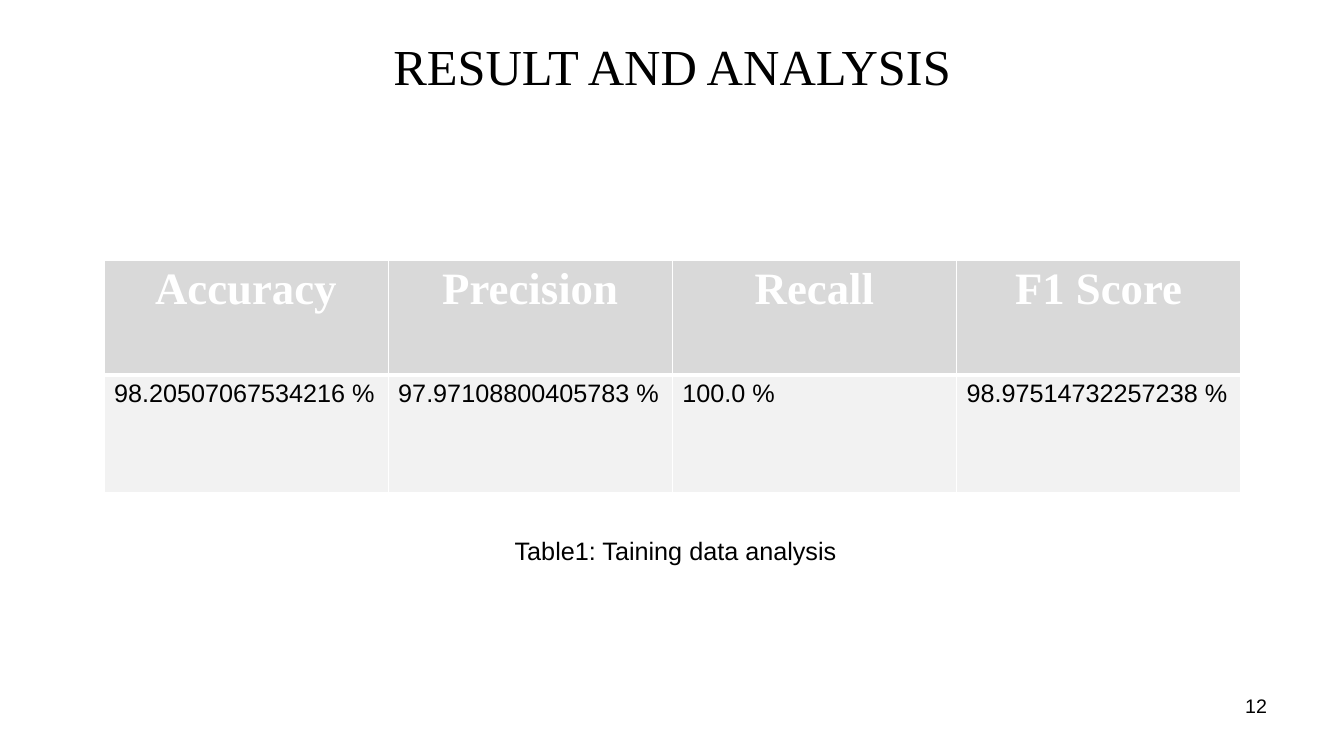
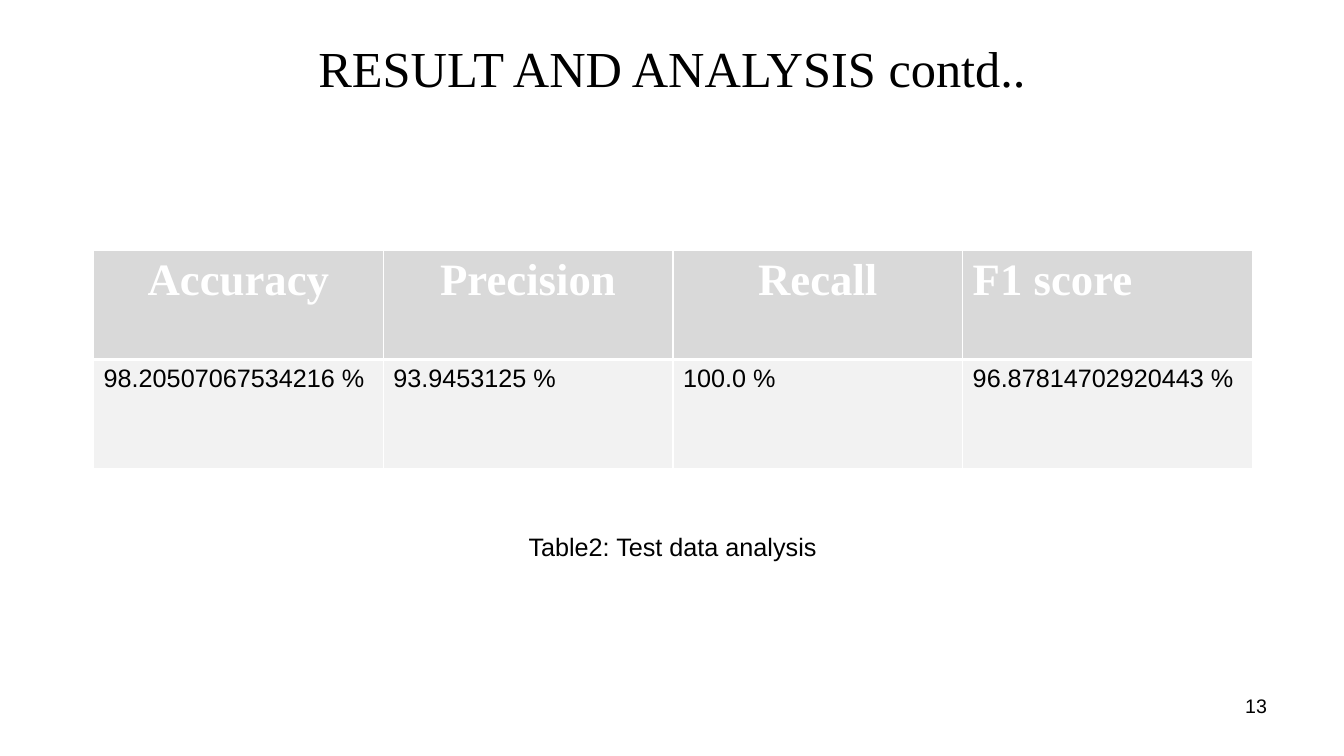
import pptx
import pptx.util
import pptx.dml.color
import pptx.enum.text
import pptx.oxml.ns
import lxml.etree

Cm = pptx.util.Cm
ALIGN = pptx.enum.text.PP_ALIGN
ANCHOR = pptx.enum.text.MSO_ANCHOR
SERIF, SANS = "Times New Roman", "Arial"
BLACK, WHITE, HEAD, BODY = "000000", "FFFFFF", "D9D9D9", "F2F2F2"

PAGES = [
    {
        "title": "RESULT AND ANALYSIS",
        "title_box": (1.7, 0.53, 30.48, 2.24),
        "rows": [
            ["Accuracy", "Precision", "Recall", "F1 Score"],
            ["98.20507067534216 %", "97.97108800405783 %", "100.0 %", "98.97514732257238 %"],
        ],
        "grid_box": (2.62, 6.55, 28.65),
        "heights": (2.9, 2.97),
        "last": ALIGN.CENTER,
        "note": "Table1: Taining data analysis",
        "note_box": (6.32, 13.36, 21.41, 1.02),
        "number": "12",
    },
    {
        "title": "RESULT AND ANALYSIS contd..",
        "title_box": (1.7, 0.61, 30.48, 2.18),
        "rows": [
            ["Accuracy", "Precision", "Recall", "F1 score"],
            ["98.20507067534216 %", "93.9453125 %", "100.0 %", "96.87814702920443 %"],
        ],
        "grid_box": (2.36, 6.32, 29.2),
        "heights": (2.74, 2.74),
        "last": ALIGN.LEFT,
        "note": "Table2: Test data analysis",
        "note_box": (7.49, 13.26, 18.92, 1.02),
        "number": "13",
    },
]
NUMBER_BOX = (24.28, 17.35, 7.9, 1.32)


def paint(text):
    return pptx.dml.color.RGBColor.from_string(text)


def write(frame, text, size, face=SANS, color=BLACK, align=ALIGN.LEFT, bold=False):
    frame.text = text
    para = frame.paragraphs[0]
    para.alignment = align
    font = para.runs[0].font
    font.size = pptx.util.Pt(size)
    font.name = face
    font.bold = bold
    font.color.rgb = paint(color)


def add_title(slide, box, text):
    title = slide.shapes.title
    title.left, title.top, title.width, title.height = map(Cm, box)
    title.text_frame.vertical_anchor = ANCHOR.MIDDLE
    write(title.text_frame, text, 36, SERIF, align=ALIGN.CENTER)


def add_label(slide, box, text, size, align):
    label = slide.shapes.add_textbox(*map(Cm, box))
    label.text_frame.word_wrap = True
    write(label.text_frame, text, size, align=align)


def edge(cell, base):
    props = cell._tc.get_or_add_tcPr()
    for side, width in (("L", 1), ("R", 1), ("T", 1), ("B", base)):
        line = lxml.etree.SubElement(props, pptx.oxml.ns.qn("a:ln" + side), w=str(pptx.util.Pt(width)))
        fill = lxml.etree.SubElement(line, pptx.oxml.ns.qn("a:solidFill"))
        lxml.etree.SubElement(fill, pptx.oxml.ns.qn("a:srgbClr"), val=WHITE)


def add_grid(slide, box, heights, rows, last):
    left, top, width = box
    count = len(rows[0])
    grid = slide.shapes.add_table(
        len(rows), count, Cm(left), Cm(top), Cm(width), Cm(sum(heights))
    ).table
    for col in grid.columns:
        col.width = Cm(width / count)
    for r, (height, texts) in enumerate(zip(heights, rows)):
        grid.rows[r].height = Cm(height)
        for c, text in enumerate(texts):
            cell = grid.cell(r, c)
            edge(cell, 1 if r else 3)
            cell.fill.solid()
            cell.fill.fore_color.rgb = paint(BODY if r else HEAD)
            if r:
                write(cell.text_frame, text, 18)
            else:
                align = last if c == count - 1 else ALIGN.CENTER
                write(cell.text_frame, text, 32, SERIF, WHITE, align, True)


def add_page(deck, page):
    slide = deck.slides.add_slide(deck.slide_layouts[5])
    slide.background.fill.solid()
    slide.background.fill.fore_color.rgb = paint(WHITE)
    add_title(slide, page["title_box"], page["title"])
    add_grid(slide, page["grid_box"], page["heights"], page["rows"], page["last"])
    add_label(slide, page["note_box"], page["note"], 18, ALIGN.CENTER)
    add_label(slide, NUMBER_BOX, page["number"], 14, ALIGN.RIGHT)


def main():
    deck = pptx.Presentation()
    deck.slide_width, deck.slide_height = Cm(33.87), Cm(19.05)
    for page in PAGES:
        add_page(deck, page)
    deck.save("out.pptx")


if __name__ == "__main__":
    main()
